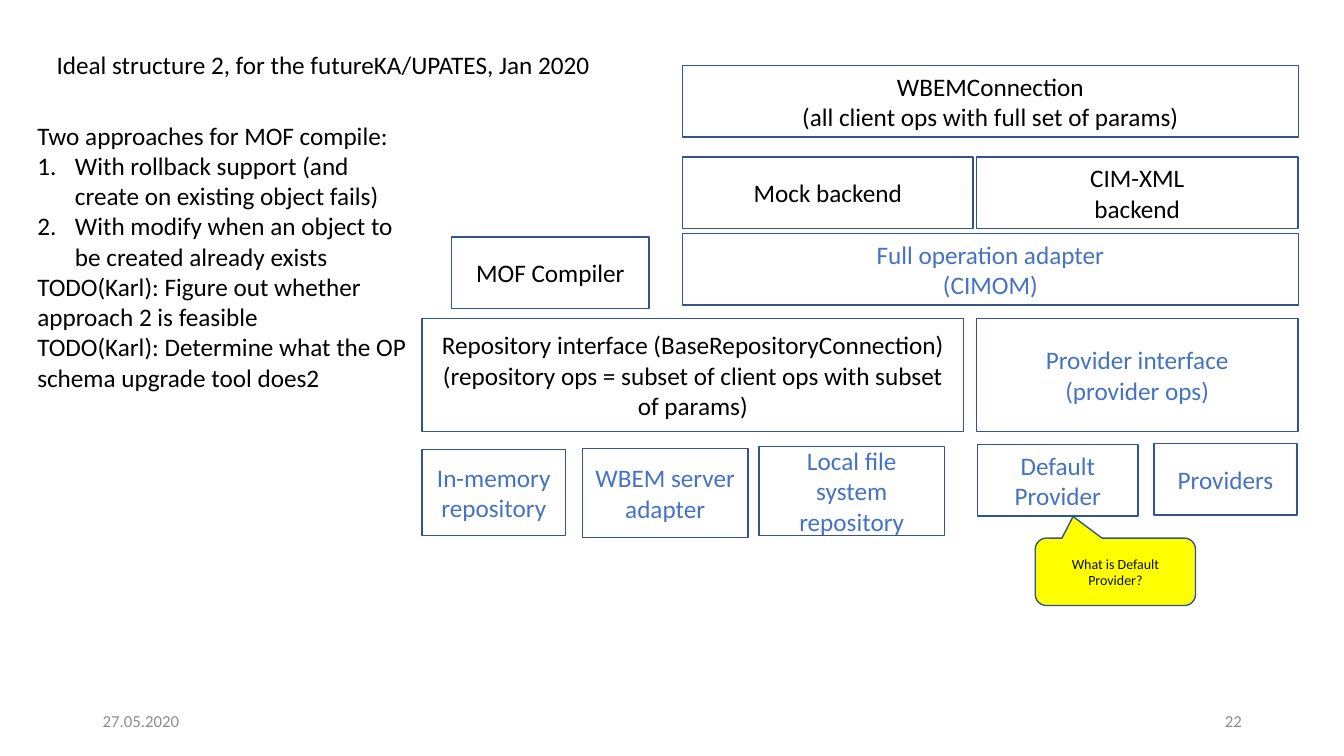
"""Build the slide on the ideal structure of the WBEM client, repository and providers."""

from dataclasses import dataclass
from typing import Any

from lxml import etree
from pptx import Presentation
from pptx.dml.color import RGBColor
from pptx.enum.shapes import MSO_SHAPE
from pptx.enum.text import MSO_ANCHOR, PP_ALIGN
from pptx.oxml.ns import qn
from pptx.util import Cm, Pt

RECTANGLE = MSO_SHAPE.RECTANGLE
CALLOUT = MSO_SHAPE.ROUNDED_RECTANGULAR_CALLOUT
TOP, MIDDLE = MSO_ANCHOR.TOP, MSO_ANCHOR.MIDDLE
LEFT, CENTER, RIGHT = PP_ALIGN.LEFT, PP_ALIGN.CENTER, PP_ALIGN.RIGHT


@dataclass(frozen=True)
class Theme:
    font: str = "Calibri"
    existing: str = "000000"
    planned: str = "4472C4"
    outline: str = "325491"
    question: str = "0D0D0D"
    question_fill: str = "FFFF00"
    footer: str = "8C8C8C"
    body_size: float = 18
    footer_size: float = 12
    question_size: float = 10
    outline_width: float = 1


THEME = Theme()


@dataclass(frozen=True)
class Area:
    left: float
    top: float
    width: float
    height: float

    def lengths(self) -> dict[str, Cm]:
        return {
            "left": Cm(self.left),
            "top": Cm(self.top),
            "width": Cm(self.width),
            "height": Cm(self.height),
        }


@dataclass(frozen=True)
class Style:
    color: str = THEME.existing
    size: float = THEME.body_size
    align: Any = LEFT
    anchor: Any = TOP
    wrap: bool = True


@dataclass(frozen=True)
class Component:
    label: str
    area: Area
    color: str = THEME.existing


@dataclass(frozen=True)
class Footer:
    label: str
    left: float
    align: Any


ROW = 1.8
INTERFACE_TOP, INTERFACE_HEIGHT = 8.03, 2.84
BACKEND_TOP = 3.96
REPOSITORY_LEFT = 10.64
CONNECTION_LEFT, CONNECTION_WIDTH = 17.2, 15.52
PROVIDER_LEFT, PROVIDER_WIDTH = 24.61, 8.1

COMPONENTS = (
    Component("Repository interface (BaseRepositoryConnection)\n"
              "(repository ops = subset of client ops with subset of params)",
              Area(REPOSITORY_LEFT, INTERFACE_TOP, 13.64, INTERFACE_HEIGHT)),
    Component("In-memory repository", Area(REPOSITORY_LEFT, 11.33, 3.61, 2.16), THEME.planned),
    Component("WBEM server adapter", Area(14.68, 11.3, 4.17, 2.24), THEME.planned),
    Component("Local file system repository", Area(19.13, 11.25, 4.67, 2.24), THEME.planned),
    Component("MOF Compiler", Area(11.38, 5.97, 4.98, ROW)),
    Component("Full operation adapter\n(CIMOM)",
              Area(CONNECTION_LEFT, 5.89, CONNECTION_WIDTH, ROW), THEME.planned),
    Component("WBEMConnection\n(all client ops with full set of params)",
              Area(CONNECTION_LEFT, 1.65, CONNECTION_WIDTH, ROW)),
    Component("Mock backend", Area(CONNECTION_LEFT, BACKEND_TOP, 7.32, ROW)),
    Component("CIM-XML\nbackend", Area(PROVIDER_LEFT, BACKEND_TOP, PROVIDER_WIDTH, ROW)),
    Component("Providers", Area(29.08, 11.18, 3.61, ROW), THEME.planned),
    Component("Provider interface\n(provider ops)",
              Area(PROVIDER_LEFT, INTERFACE_TOP, PROVIDER_WIDTH, INTERFACE_HEIGHT),
              THEME.planned),
    Component("Default Provider", Area(24.64, 11.2, 4.04, ROW), THEME.planned),
)
HEADING = "Ideal structure 2, for the futureKA/UPATES, Jan 2020"
NOTES = (
    "Two approaches for MOF compile:",
    "With rollback support (and create on existing object fails)",
    "With modify when an object to be created already exists",
    "TODO(Karl): Figure out whether approach 2 is feasible",
    "TODO(Karl): Determine what the OP schema upgrade tool does2",
)
NUMBERED_NOTES = slice(1, 3)
NUMBER_INDENT = 0.95
CALLOUT_POINTER = (-0.264, -0.82, 0.167)
FOOTERS = (Footer("27.05.2020", 2.34, LEFT), Footer("22", 23.93, RIGHT))


def apply_format(target: Any, values: dict[str, Any]) -> None:
    for attribute, value in values.items():
        setattr(target, attribute, value)


def write(frame: Any, paragraphs: tuple[str, ...], style: Style) -> None:
    apply_format(frame, {"word_wrap": style.wrap, "vertical_anchor": style.anchor})
    for index, text in enumerate(paragraphs):
        paragraph = frame.paragraphs[0] if index == 0 else frame.add_paragraph()
        apply_format(paragraph, {"text": text, "alignment": style.align})
        for run in paragraph.runs:
            apply_format(run.font, {"name": THEME.font, "size": Pt(style.size)})
            run.font.color.rgb = RGBColor.from_string(style.color)


def add_text(slide: Any, area: Area, paragraphs: tuple[str, ...], style: Style) -> Any:
    frame = slide.shapes.add_textbox(**area.lengths()).text_frame
    write(frame, paragraphs, style)
    return frame


def add_outlined(slide: Any, kind: Any, component: Component,
                 size: float = THEME.body_size) -> Any:
    outlined = slide.shapes.add_shape(kind, **component.area.lengths())
    outlined.shadow.inherit = False
    outlined.fill.background()
    outlined.line.color.rgb = RGBColor.from_string(THEME.outline)
    outlined.line.width = Pt(THEME.outline_width)
    write(outlined.text_frame, (component.label,),
          Style(component.color, size, CENTER, MIDDLE))
    return outlined


def add_question(slide: Any) -> None:
    question = Component("What is Default Provider?", Area(26.09, 13.56, 4.04, 1.7),
                         THEME.question)
    callout = add_outlined(slide, CALLOUT, question, THEME.question_size)
    callout.fill.solid()
    callout.fill.fore_color.rgb = RGBColor.from_string(THEME.question_fill)
    for index, value in enumerate(CALLOUT_POINTER):
        callout.adjustments[index] = value


def number(paragraph: Any) -> None:
    properties = paragraph._p.get_or_add_pPr()
    indent = Cm(NUMBER_INDENT)
    properties.set("marL", str(indent))
    properties.set("indent", str(-indent))
    etree.SubElement(properties, qn("a:buFont"), typeface="+mj-lt")
    etree.SubElement(properties, qn("a:buAutoNum"), type="arabicPeriod")


def main() -> None:
    presentation = Presentation()
    apply_format(presentation, {"slide_width": Cm(33.87), "slide_height": Cm(19.05)})
    slide = presentation.slides.add_slide(presentation.slide_layouts.get_by_name("Title Only"))
    apply_format(slide.shapes.title, Area(1.17, 1.12, 14.1, 1.02).lengths())
    write(slide.shapes.title.text_frame, (HEADING,), Style(wrap=False))
    for component in COMPONENTS:
        add_outlined(slide, RECTANGLE, component)
    notes = add_text(slide, Area(0.69, 2.9, 10.11, 7.19), NOTES, Style())
    for paragraph in notes.paragraphs[NUMBERED_NOTES]:
        number(paragraph)
    add_question(slide)
    for footer in FOOTERS:
        add_text(slide, Area(footer.left, 17.65, 7.62, 1.02), (footer.label,),
                 Style(THEME.footer, THEME.footer_size, footer.align, MIDDLE))
    presentation.save("out.pptx")


if __name__ == "__main__":
    main()
